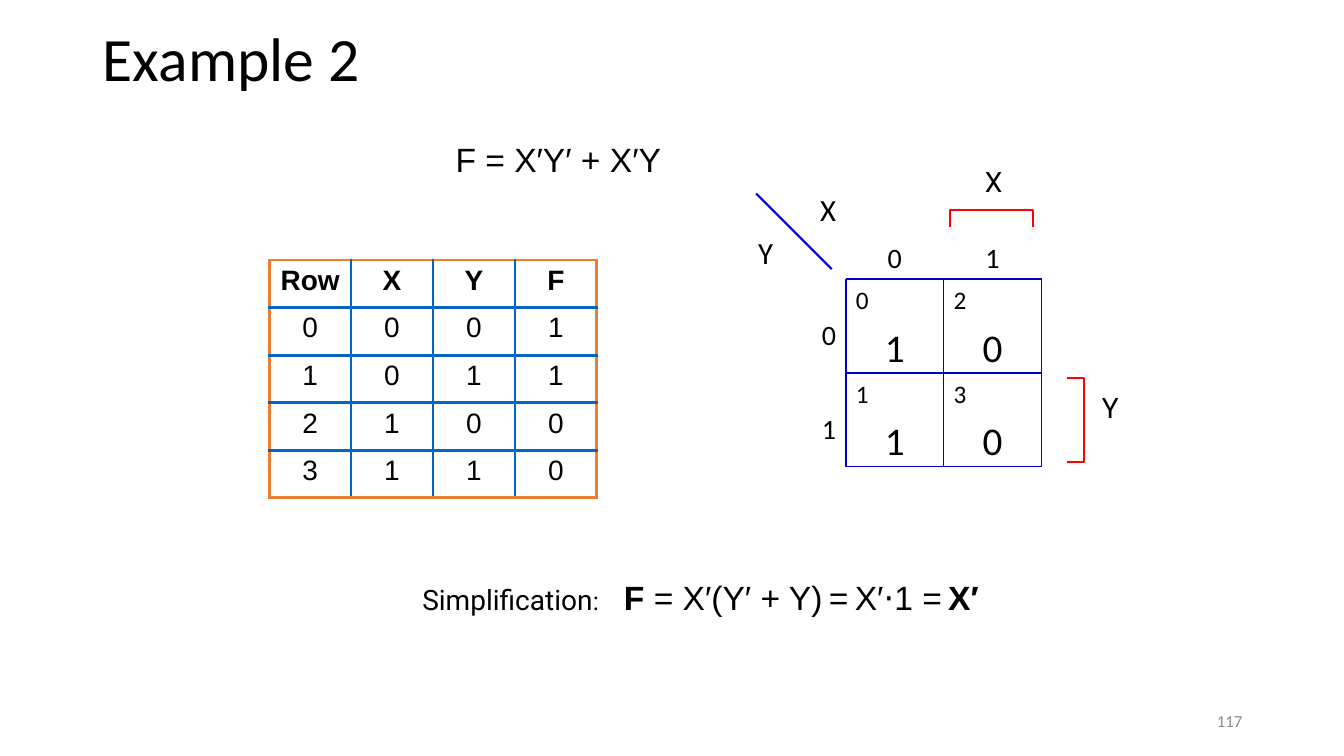
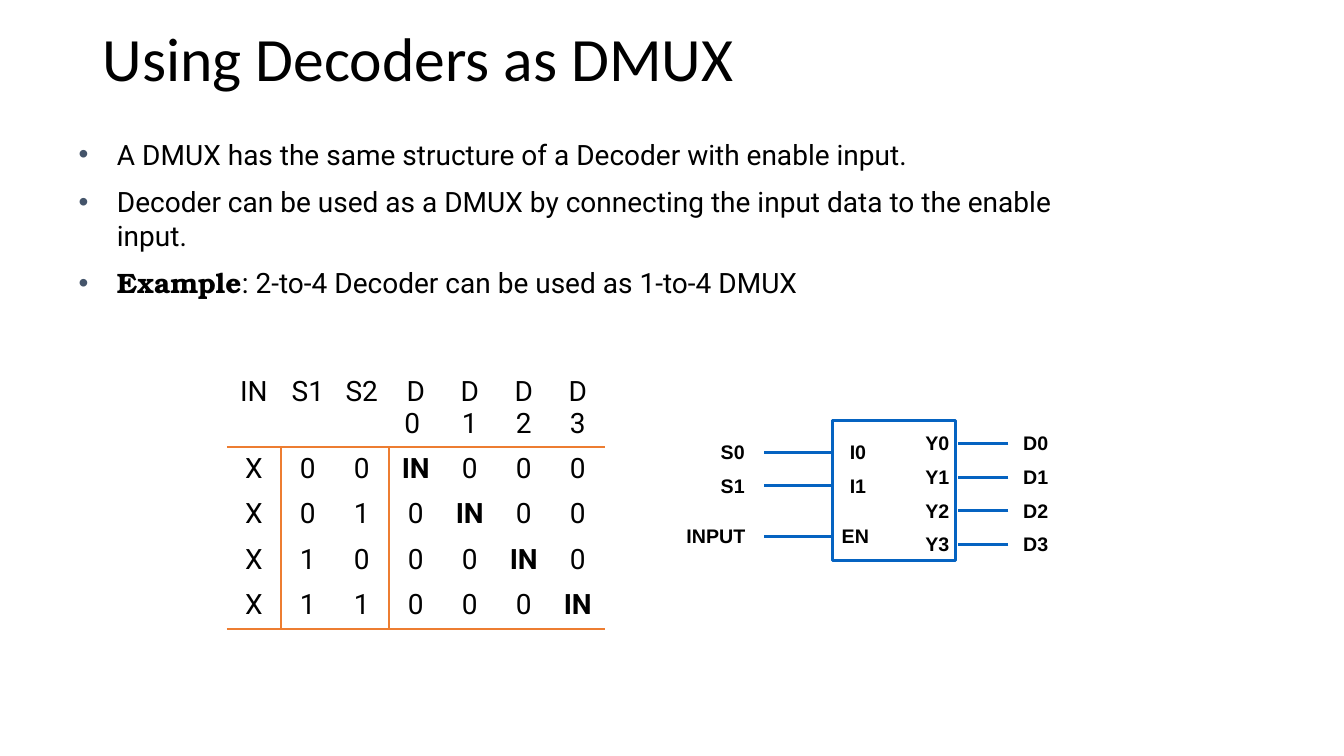
"""Build two slides: a Karnaugh map example and a decoder used as a DMUX."""
from lxml import etree
from pptx import Presentation
from pptx import util as u
from pptx.dml.color import RGBColor
from pptx.enum import shapes, text
from pptx.oxml import ns

COLORS = {"ink": "000000", "blue": "0563C1", "orange": "ED7D31", "grid": "0000CC",
          "bracket": "FF0000", "bullet": "44546A", "number": "8C8C8C"}
LEFT, CENTER, RIGHT = text.PP_ALIGN.LEFT, text.PP_ALIGN.CENTER, text.PP_ALIGN.RIGHT
TOP, MIDDLE, BOTTOM = text.MSO_ANCHOR.TOP, text.MSO_ANCHOR.MIDDLE, text.MSO_ANCHOR.BOTTOM


def write(paragraph, runs, align=LEFT, color="ink"):
    """Add (words, size, font, bold) runs to a paragraph."""
    paragraph.alignment = align
    for words, size, font, bold in runs:
        run = paragraph.add_run()
        run.text = words
        run.font.size, run.font.name, run.font.bold = u.Pt(size), font, bold
        run.font.color.rgb = RGBColor.from_string(COLORS[color])


def label(slide, box, *lines, aligns=(LEFT,), anchor=TOP, color="ink"):
    """Add a wrapped text box with one paragraph per line and return its paragraphs."""
    frame = slide.shapes.add_textbox(*map(u.Inches, box)).text_frame
    frame.word_wrap, frame.vertical_anchor = True, anchor
    for index, (runs, align) in enumerate(zip(lines, aligns)):
        paragraph = frame.add_paragraph() if index else frame.paragraphs[0]
        write(paragraph, runs, align, color)
    return frame.paragraphs


prs = Presentation()
prs.slide_width, prs.slide_height = u.Inches(13.33), u.Inches(7.5)
kmap = prs.slides.add_slide(prs.slide_layouts[5])
dmux = prs.slides.add_slide(prs.slide_layouts[1])

for slide, heading in ((kmap, "Example 2"), (dmux, "Using Decoders as DMUX")):
    title = slide.shapes.title
    title.left, title.top, title.width, title.height = map(u.Inches, (0.92, 0.22, 11.5, 0.78))
    title.text_frame.vertical_anchor = MIDDLE
    title.text_frame.auto_size = text.MSO_AUTO_SIZE.NONE
    write(title.text_frame.paragraphs[0], [(heading, 44, "Calibri", False)])
    title.text_frame.paragraphs[0].line_spacing = 0.9

label(kmap, (4.42, 1.33, 2.6, 0.5), [("F = X′Y′ + X′Y", 24, "Arial", False)])
label(kmap, (4.09, 5.67, 6.2, 0.5), [
    ("Simplification", 20, "Roboto", False), (":\t", 18, "Roboto", False),
    ("F", 24, "Arial", True), (" = X′(Y′ + Y)", 24, "Arial", False),
    (" ", 18, "Roboto", False), ("=", 24, "Arial", False),
    (" ", 18, "Roboto", False), ("X′⋅1 =", 24, "Arial", False),
    (" ", 18, "Roboto", False), ("X′", 24, "Arial", True)])
label(kmap, (9.42, 6.95, 3, 0.4), [("117", 12, "Calibri", False)],
      aligns=(RIGHT,), anchor=MIDDLE, color="number")

map_left, map_top, cell_w, cell_h = 8.39, 2.77, 0.97, 0.93
minterms = [[("0", "1"), ("2", "0")], [("1", "1"), ("3", "0")]]
for row, pairs in enumerate(minterms):
    y = map_top + row * cell_h
    for col, (index, value) in enumerate(pairs):
        lines = label(kmap, (map_left + col * cell_w, y, cell_w, cell_h),
                      [(index, 18, "Calibri", False)], [(value, 28, "Calibri", False)],
                      aligns=(LEFT, CENTER))
        lines[1].space_before = u.Pt(6)
    row_value = label(kmap, (map_left - cell_w, y, cell_w, cell_h),
                      [(str(row), 20, "Calibri", False)], aligns=(RIGHT,))
    row_value[0].line_spacing = 2.0
    label(kmap, (map_left + row * cell_w, map_top - cell_h, cell_w, cell_h),
          [(str(row), 20, "Calibri", False)], aligns=(CENTER,), anchor=BOTTOM)
axes = label(kmap, (map_left - cell_w, map_top - cell_h, cell_w, cell_h),
             [("X", 22, "Calibri", False)], [("Y", 22, "Calibri", False)], aligns=(RIGHT, LEFT))
axes[1].space_before = u.Pt(4.4)

brackets = [("X", (9.67, 1.58), [(9.42, 2.25), (9.42, 2.08), (10.25, 2.08), (10.25, 2.25)]),
            ("Y", (10.83, 3.83), [(10.58, 3.75), (10.75, 3.75), (10.75, 4.58), (10.58, 4.58)])]
for variable, (x, y), points in brackets:
    corners = [(u.Inches(px), u.Inches(py)) for px, py in points]
    outline = kmap.shapes.build_freeform(*corners[0])
    outline.add_line_segments(corners[1:], close=False)
    bracket = outline.convert_to_shape()
    bracket.shadow.inherit = False
    bracket.fill.background()
    bracket.line.color.rgb = RGBColor.from_string(COLORS["bracket"])
    bracket.line.width = u.Pt(1.5)
    label(kmap, (x, y, 0.36, 0.43), [(variable, 20, "Roboto", False)], aligns=(CENTER,))

bullets = [
    [("A DMUX has the same structure of a Decoder with enable input.", 20, "Roboto", False)],
    [("Decoder can be used as a DMUX by connecting the input data to the enable input.",
      20, "Roboto", False)],
    [("Example", 20, "TeX Gyre Bonum", True),
     (": 2-to-4 Decoder can be used as 1-to-4 DMUX", 20, "Roboto", False)]]
body = dmux.placeholders[1]
body.left, body.top, body.width, body.height = map(u.Inches, (0.68, 1.31, 10.34, 1.77))
body.text_frame.auto_size = text.MSO_AUTO_SIZE.NONE
for index, runs in enumerate(bullets):
    paragraph = body.text_frame.add_paragraph() if index else body.text_frame.paragraphs[0]
    paragraph.space_before = u.Pt(10 if index else 0)
    properties = paragraph._p.get_or_add_pPr()
    properties.set("marL", str(u.Inches(0.38)))
    properties.set("indent", str(u.Inches(-0.38)))
    bullet_color = etree.SubElement(properties, ns.qn("a:buClr"))
    etree.SubElement(bullet_color, ns.qn("a:srgbClr"), val=COLORS["bullet"])
    write(paragraph, runs)

decoder = dmux.shapes.add_shape(shapes.MSO_SHAPE.RECTANGLE,
                                *map(u.Inches, (8.26, 4.17, 1.22, 1.39)))
decoder.shadow.inherit = False
decoder.fill.background()
decoder.line.color.rgb = RGBColor.from_string(COLORS["blue"])
decoder.line.width = u.Pt(2)

inputs = [("S0", 7.05, "I0", 8.33, 4.49), ("S1", 7.05, "I1", 8.33, 4.82),
          ("INPUT", 6.71, "EN", 8.25, 5.32)]
outputs = [(f"Y{n}", 9.08, f"D{n}", 10.05, 4.4 + n / 3) for n in range(4)]
for signal, signal_x, pin, pin_x, y in inputs + outputs:
    for words, x in ((signal, signal_x), (pin, pin_x)):
        label(dmux, (x, y - 0.17, 1.17 if words == "INPUT" else 0.58, 0.34),
              [(words, 14, "Arial", True)])

map_right, map_bottom = map_left + 2 * cell_w, map_top + 2 * cell_h
wires = [(kmap, (7.5, 1.92, 8.25, 2.67), "grid", 1.5)]
for step in range(3):
    x, y = map_left + step * cell_w, map_top + step * cell_h
    wires += [(kmap, (x, map_top, x, map_bottom), "grid", 1),
              (kmap, (map_left, y, map_right, y), "grid", 1)]
wires += [(dmux, (8.25, pin[-1], 7.58, pin[-1]), "blue", 2) for pin in inputs]
wires += [(dmux, (10, pin[-1], 9.5, pin[-1]), "blue", 2) for pin in outputs]
for slide, ends, color, weight in wires:
    wire = slide.shapes.add_connector(shapes.MSO_CONNECTOR.STRAIGHT, *map(u.Inches, ends))
    wire.line.color.rgb = RGBColor.from_string(COLORS[color])
    wire.line.width = u.Pt(weight)
    etree.SubElement(wire._element.spPr, ns.qn("a:effectLst"))

truth_rows = [["Row", "X", "Y", "F"], *("0001", "1011", "2100", "3110")]
dmux_rows = [["IN", "S1", "S2", "D0 ", "D1", "D2", "D3"]]
for n in range(4):
    dmux_rows.append(["X", str(n // 2), str(n % 2)] + ["IN" if n == d else "0" for d in range(4)])
tables = [
    (kmap, (2.67, 2.58, 3.25, 2.36), truth_rows, "Arial", 2.25, 0,
     ["orange", *["blue"] * 4, "orange"], ["orange", *["blue"] * 3, "orange"]),
    (dmux, (2.25, 3.67, 3.75, 2.25), dmux_rows, "Roboto", 1.5, 1,
     [None, "orange", None, None, None, "orange"],
     [None, "orange", None, "orange", None, None, None, None])]
for slide, box, rows, font, weight, first_ruled, across, down in tables:
    table = slide.shapes.add_table(len(rows), len(rows[0]), *map(u.Inches, box)).table
    table.first_row = table.horz_banding = False
    for r, values in enumerate(rows):
        for c, value in enumerate(values):
            cell = table.cell(r, c)
            write(cell.text_frame.paragraphs[0],
                  [(value, 20, font, value == "IN" and r > 0 or slide is kmap and r == 0)], CENTER)
            sides = down[c:c + 2] if r >= first_ruled else [None, None]
            borders = zip(("a:lnL", "a:lnR", "a:lnT", "a:lnB"), [*sides, *across[r:r + 2]])
            properties = cell._tc.get_or_add_tcPr()
            for tag, color in borders:
                border = etree.SubElement(properties, ns.qn(tag), w=str(u.Pt(weight)))
                paint = etree.SubElement(border, ns.qn("a:solidFill" if color else "a:noFill"))
                if color:
                    etree.SubElement(paint, ns.qn("a:srgbClr"), val=COLORS[color])
            cell.fill.background()

prs.save("out.pptx")
